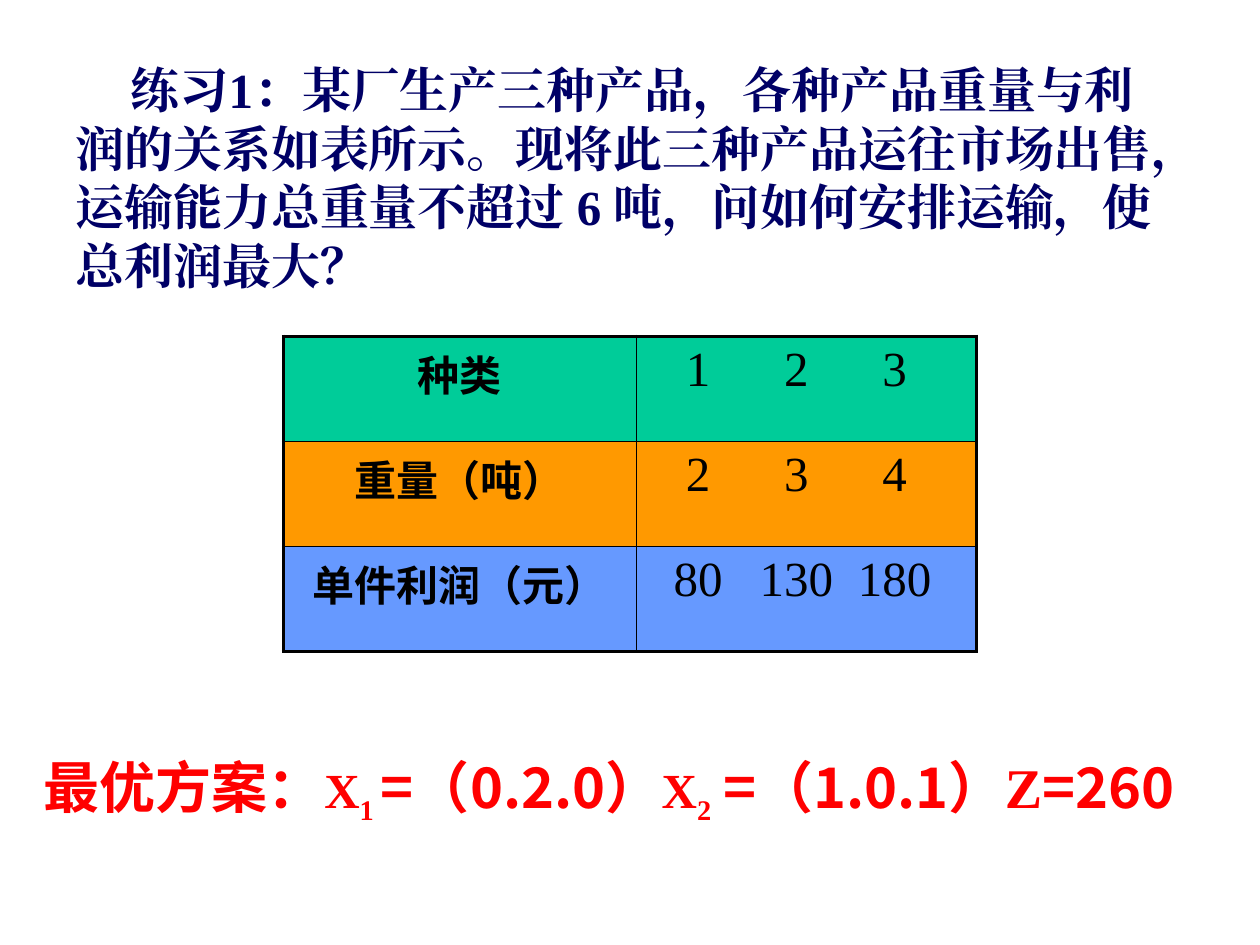
from lxml import etree
from pptx import Presentation
from pptx.dml.color import RGBColor
from pptx.enum.text import MSO_ANCHOR, PP_ALIGN
from pptx.oxml.ns import qn
from pptx.util import Inches, Pt

NAVY = RGBColor(0x00, 0x00, 0x66)
RED = RGBColor(0xFF, 0x00, 0x00)
BLACK = RGBColor(0x00, 0x00, 0x00)
GREEN = RGBColor(0x00, 0xCC, 0x99)
ORANGE = RGBColor(0xFF, 0x99, 0x00)
BLUE = RGBColor(0x66, 0x99, 0xFF)
SANS = "Noto Sans CJK SC"
SERIF = "Times New Roman"


def set_font(font, name, size, color, bold=True):
    font.size, font.bold = Pt(size), bold
    font.color.rgb = color
    font.name = name
    latin = font._element.find(qn("a:latin"))
    ea = etree.Element(qn("a:ea"), typeface=name)
    latin.addnext(ea)


def set_borders(cell, widths):
    tcPr = cell._tc.get_or_add_tcPr()
    for i, (side, width) in enumerate(zip("LRTB", widths)):
        ln = etree.Element(qn(f"a:ln{side}"), w=str(Pt(width)))
        fill = etree.SubElement(ln, qn("a:solidFill"))
        etree.SubElement(fill, qn("a:srgbClr"), val=str(BLACK))
        tcPr.insert(i, ln)


prs = Presentation()
prs.slide_width, prs.slide_height = Inches(10), Inches(7.5)
s = prs.slides.add_slide(prs.slide_layouts[6])

tf = s.shapes.add_textbox(Inches(0.5), Inches(0.42), Inches(8.92), Inches(1.97)).text_frame
tf.word_wrap = True
p = tf.paragraphs[0]
p.text = ("练习1：某厂生产三种产品，各种产品重量与利润的关系如表所示。"
          "现将此三种产品运往市场出售，运输能力总重量不超过 6 吨，"
          "问如何安排运输，使总利润最大？")
p.line_spacing = Pt(33.65)
p._p.get_or_add_pPr().set("indent", str(Inches(0.44)))
set_font(p.font, SERIF, 28, NAVY)

rows = [
    ("种类", (1, 2, 3), GREEN),
    ("重量（吨）", (2, 3, 4), ORANGE),
    ("单件利润（元）", (80, 130, 180), BLUE),
]
table = s.shapes.add_table(len(rows), 2, Inches(2.25), Inches(2.67), Inches(5.5), Inches(2.5)).table
table.columns[0].width, table.columns[1].width = Inches(2.8), Inches(2.7)
for i, (label, values, color) in enumerate(rows):
    top = 2.25 if i == 0 else 1
    bottom = 2.25 if i == len(rows) - 1 else 1
    label_cell, value_cell = table.cell(i, 0), table.cell(i, 1)
    set_borders(label_cell, (2.25, 1, top, bottom))
    set_borders(value_cell, (1, 2.25, top, bottom))
    for cell in (label_cell, value_cell):
        cell.fill.solid()
        cell.fill.fore_color.rgb = color
        cell.vertical_anchor = MSO_ANCHOR.TOP

    p = label_cell.text_frame.paragraphs[0]
    p.text = label
    p.alignment = PP_ALIGN.CENTER
    set_font(p.font, SANS, 24, BLACK)

    p = value_cell.text_frame.paragraphs[0]
    p.text = "".join(f"\t{v}" for v in values)
    tabs = etree.SubElement(p._p.get_or_add_pPr(), qn("a:tabLst"))
    for k in range(len(values)):
        etree.SubElement(tabs, qn("a:tab"), pos=str(Inches(0.39 + 0.78 * k)), algn="ctr")
    set_font(p.font, SERIF, 28, BLACK, False)

tf = s.shapes.add_textbox(Inches(0.25), Inches(5.92), Inches(9.42), Inches(0.63)).text_frame
tf.word_wrap = True
p = tf.paragraphs[0]
for words, name, size, baseline in [
    ("最优方案：", SANS, 32, 0),
    ("X", SERIF, 28, 0),
    ("1 ", SERIF, 28, -25000),
    ("=（0.2.0）", SANS, 32, 0),
    ("X", SERIF, 28, 0),
    ("2", SERIF, 28, -25000),
    (" =（1.0.1）", SANS, 32, 0),
    ("Z", SERIF, 32, 0),
    ("=260", SANS, 32, 0),
]:
    r = p.add_run()
    r.text = words
    set_font(r.font, name, size, RED)
    if baseline:
        r.font._element.set("baseline", str(baseline))

prs.save("out.pptx")
